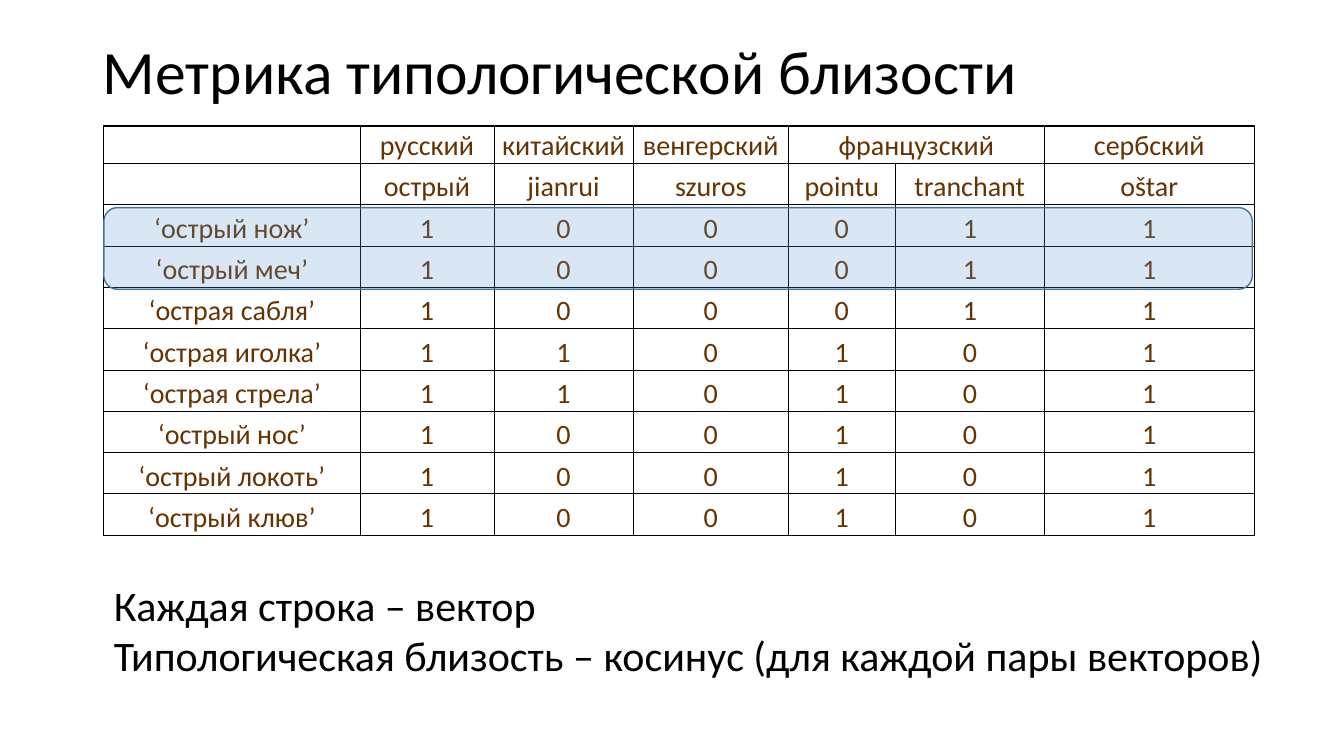
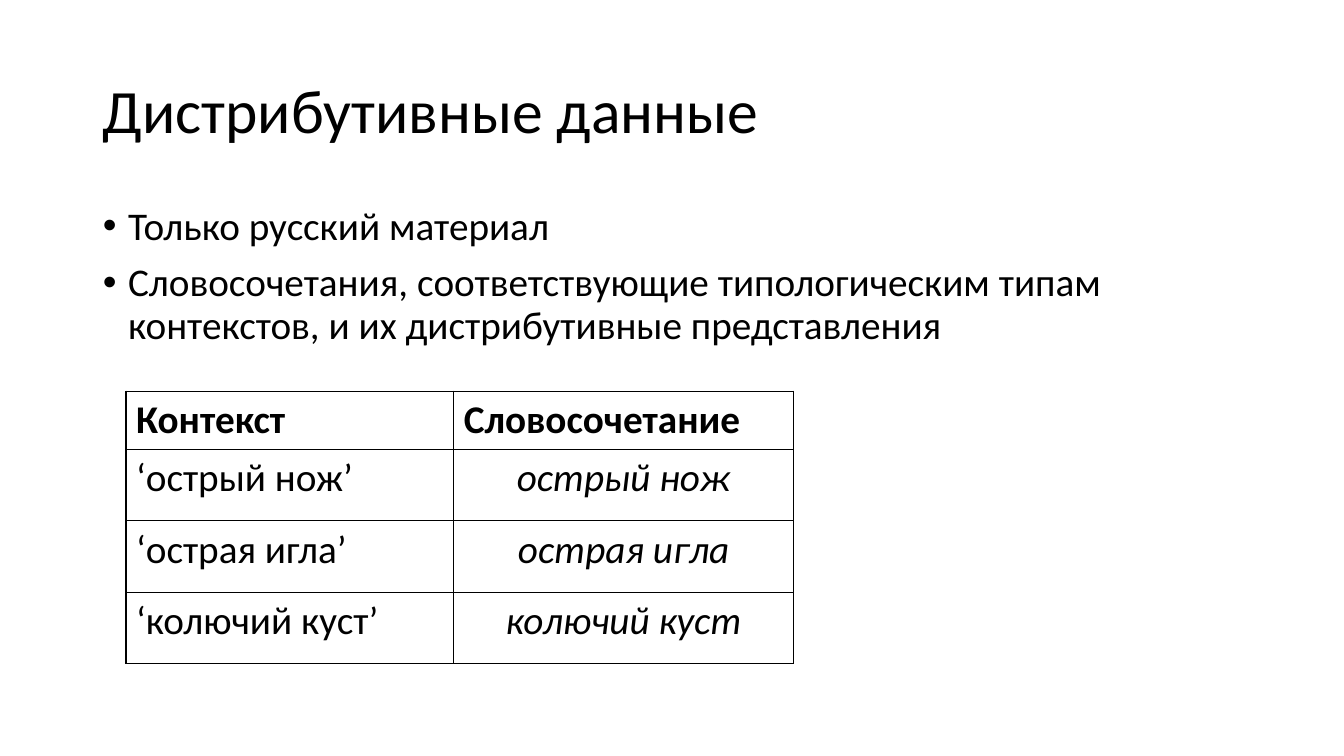
import pptx
import pptx.util
import pptx.dml.color
import pptx.enum.shapes
import pptx.enum.text
import pptx.oxml
import pptx.oxml.ns
from lxml import etree

Inches, Pt = pptx.util.Inches, pptx.util.Pt
RGBColor = pptx.dml.color.RGBColor
ALIGN, ANCHOR = pptx.enum.text.PP_ALIGN, pptx.enum.text.MSO_ANCHOR
FIT = pptx.enum.text.MSO_AUTO_SIZE

BLACK = RGBColor(0x00, 0x00, 0x00)
BROWN = RGBColor(0x66, 0x33, 0x00)
BLUE = RGBColor(0x5B, 0x9B, 0xD5)
DARK_BLUE = RGBColor(0x43, 0x73, 0x9E)
FONT = "Calibri"
LEFT, CONTENT_WIDTH = 0.92, 11.5

# Content
METRIC_TITLE = "Метрика типологической близости"
LANGUAGES = ["", "русский", "китайский", "венгерский", "французский", "", "сербский"]
WORDS = ["", "острый", "jianrui", "szuros", "pointu", "tranchant", "oštar"]
VECTORS = {
    "‘острый нож’": "100011",
    "‘острый меч’": "100011",
    "‘острая сабля’": "100011",
    "‘острая иголка’": "110101",
    "‘острая стрела’": "110101",
    "‘острый нос’": "100101",
    "‘острый локоть’": "100101",
    "‘острый клюв’": "100101",
}
CONCLUSIONS = [
    "Каждая строка – вектор",
    "Типологическая близость – косинус (для каждой пары векторов)",
]
DATA_TITLE = "Дистрибутивные данные"
DATA_POINTS = [
    "Только русский материал",
    "Словосочетания, соответствующие типологическим типам контекстов, "
    "и их дистрибутивные представления",
]
DATA_HEADER = ["Контекст", "Словосочетание"]
PHRASES = ["острый нож", "острая игла", "колючий куст"]

# Formats
TITLE_FONT = {"size": Pt(44)}
CONCLUSION_FONT = {"size": Pt(30)}
DATA_FONT = {"size": Pt(28)}
VECTOR_FONT = {"size": Pt(20), "color": BROWN}
VECTOR_CELL = {
    "vertical_anchor": ANCHOR.BOTTOM,
    "margin_left": Inches(0.01), "margin_right": Inches(0.01),
    "margin_top": Inches(0.01), "margin_bottom": 0,
}
DATA_CELL = {
    "margin_left": Inches(0.1), "margin_right": Inches(0.1),
    "margin_top": Inches(0.05), "margin_bottom": Inches(0.05),
}
BULLET_PARAGRAPH = {"line_spacing": 0.9, "space_before": Pt(10)}


def apply(target, values):
    for name, value in values.items():
        setattr(target, name, value)


def place(shape, left, top, width, height):
    apply(shape, {"left": Inches(left), "top": Inches(top),
                  "width": Inches(width), "height": Inches(height)})


def write(paragraph, text, font, align=ALIGN.LEFT):
    paragraph.alignment = align
    if not text:
        return
    run = paragraph.add_run()
    run.text = text
    values = {"name": FONT, "color": BLACK, **font}
    run.font.color.rgb = values.pop("color")
    apply(run.font, values)


def write_lines(frame, lines, font, paragraph_format):
    for number, line in enumerate(lines):
        paragraph = frame.add_paragraph() if number else frame.paragraphs[0]
        write(paragraph, line, font)
        apply(paragraph, paragraph_format)


def add_titled_slide(deck, layout, text, top, height):
    slide = deck.slides.add_slide(deck.slide_layouts[layout])
    title = slide.shapes.title
    place(title, LEFT, top, CONTENT_WIDTH, height)
    apply(title.text_frame, {"word_wrap": True, "auto_size": FIT.NONE,
                             "vertical_anchor": ANCHOR.MIDDLE})
    write_lines(title.text_frame, [text], TITLE_FONT, {"line_spacing": 0.9})
    return slide


def add_bullet(paragraph):
    properties = paragraph._p.get_or_add_pPr()
    properties.set("marL", str(Inches(0.25)))
    properties.set("indent", str(-Inches(0.25)))
    qn = pptx.oxml.ns.qn
    etree.SubElement(properties, qn("a:buFont"), typeface="Arial")
    etree.SubElement(properties, qn("a:buChar"), char="•")


def set_borders(cell, widths):
    properties = cell._tc.get_or_add_tcPr()
    for side, width in zip("LRTB", widths):
        properties.append(pptx.oxml.parse_xml(
            f'<a:ln{side} xmlns:a="http://schemas.openxmlformats.org/drawingml/2006/main" '
            f'w="{Pt(width)}"><a:solidFill><a:srgbClr val="{BLACK}"/></a:solidFill></a:ln{side}>'))


def add_grid(slide, left, top, columns, heights, rows, inner_line, cell_format, style):
    """Draw a bordered table; style(row, column) gives a cell's font and alignment."""
    frame = slide.shapes.add_table(
        len(heights), len(columns), Inches(left), Inches(top),
        Inches(sum(columns)), Inches(sum(heights)))
    table = frame.table
    apply(table, {"first_row": False, "horz_banding": False})
    for column, width in zip(table.columns, columns):
        column.width = Inches(width)
    for row, height in zip(table.rows, heights):
        row.height = Inches(height)
    last_column = len(columns) - 1
    for r, texts in enumerate(rows):
        for c, text in enumerate(texts):
            cell = table.cell(r, c)
            apply(cell, cell_format)
            on_edge = (c == 0, c == last_column, r == 0, False)
            set_borders(cell, [1 if edge else inner_line for edge in on_edge])
            cell.fill.background()
            write(cell.text_frame.paragraphs[0], text, *style(r, c))
    return table


def build_metric_slide(deck):
    slide = add_titled_slide(deck, 5, METRIC_TITLE, 0.18, 1.11)
    left, top, row_height = 1.03, 1.25, 0.41
    columns = [2.54, 1.33, 1.38, 1.54, 1.06, 1.48, 2.08]
    rows = [LANGUAGES, WORDS] + [[name, *vector] for name, vector in VECTORS.items()]
    heights = [0.37] + [row_height] * (len(rows) - 1)
    table = add_grid(slide, left, top, columns, heights, rows, 0.5, VECTOR_CELL,
                     lambda r, c: (VECTOR_FONT, ALIGN.CENTER))
    french = LANGUAGES.index("французский")
    table.cell(0, french).merge(table.cell(0, french + 1))

    box = slide.shapes.add_textbox(Inches(left), Inches(5.7), Inches(12.11), Inches(1.11))
    apply(box.text_frame, {"word_wrap": True, "auto_size": FIT.SHAPE_TO_FIT_TEXT})
    write_lines(box.text_frame, CONCLUSIONS, CONCLUSION_FONT, {})

    highlight = slide.shapes.add_shape(
        pptx.enum.shapes.MSO_SHAPE.ROUNDED_RECTANGLE,
        Inches(left), Inches(top + sum(heights[:2]) + 0.03),
        Inches(sum(columns) - 0.02), Inches(2 * row_height - 0.01))
    highlight.shadow.inherit = False
    highlight.fill.solid()
    highlight.fill.fore_color.rgb = BLUE
    qn = pptx.oxml.ns.qn
    tint = highlight._element.spPr.find(qn("a:solidFill")).find(qn("a:srgbClr"))
    etree.SubElement(tint, qn("a:alpha"), val="23000")
    highlight.line.color.rgb = DARK_BLUE
    highlight.line.width = Pt(1)


def build_data_slide(deck):
    slide = add_titled_slide(deck, 1, DATA_TITLE, 0.4, 1.45)
    body = slide.placeholders[1]
    place(body, LEFT, 2, CONTENT_WIDTH, 4.76)
    body.text_frame.auto_size = FIT.NONE
    write_lines(body.text_frame, DATA_POINTS, DATA_FONT, BULLET_PARAGRAPH)
    for paragraph in body.text_frame.paragraphs:
        add_bullet(paragraph)

    def style(r, c):
        is_phrase = r > 0 and c == 1
        font = {**DATA_FONT, "bold": r == 0, "italic": is_phrase}
        return font, ALIGN.CENTER if is_phrase else ALIGN.LEFT

    rows = [DATA_HEADER] + [[f"‘{phrase}’", phrase] for phrase in PHRASES]
    add_grid(slide, 1.25, 3.88, [3.25, 3.37], [0.51] + [0.71] * len(PHRASES),
             rows, 1, DATA_CELL, style)


def main():
    deck = pptx.Presentation()
    apply(deck, {"slide_width": Inches(13.33), "slide_height": Inches(7.5)})
    build_metric_slide(deck)
    build_data_slide(deck)
    deck.save("out.pptx")


if __name__ == "__main__":
    main()
